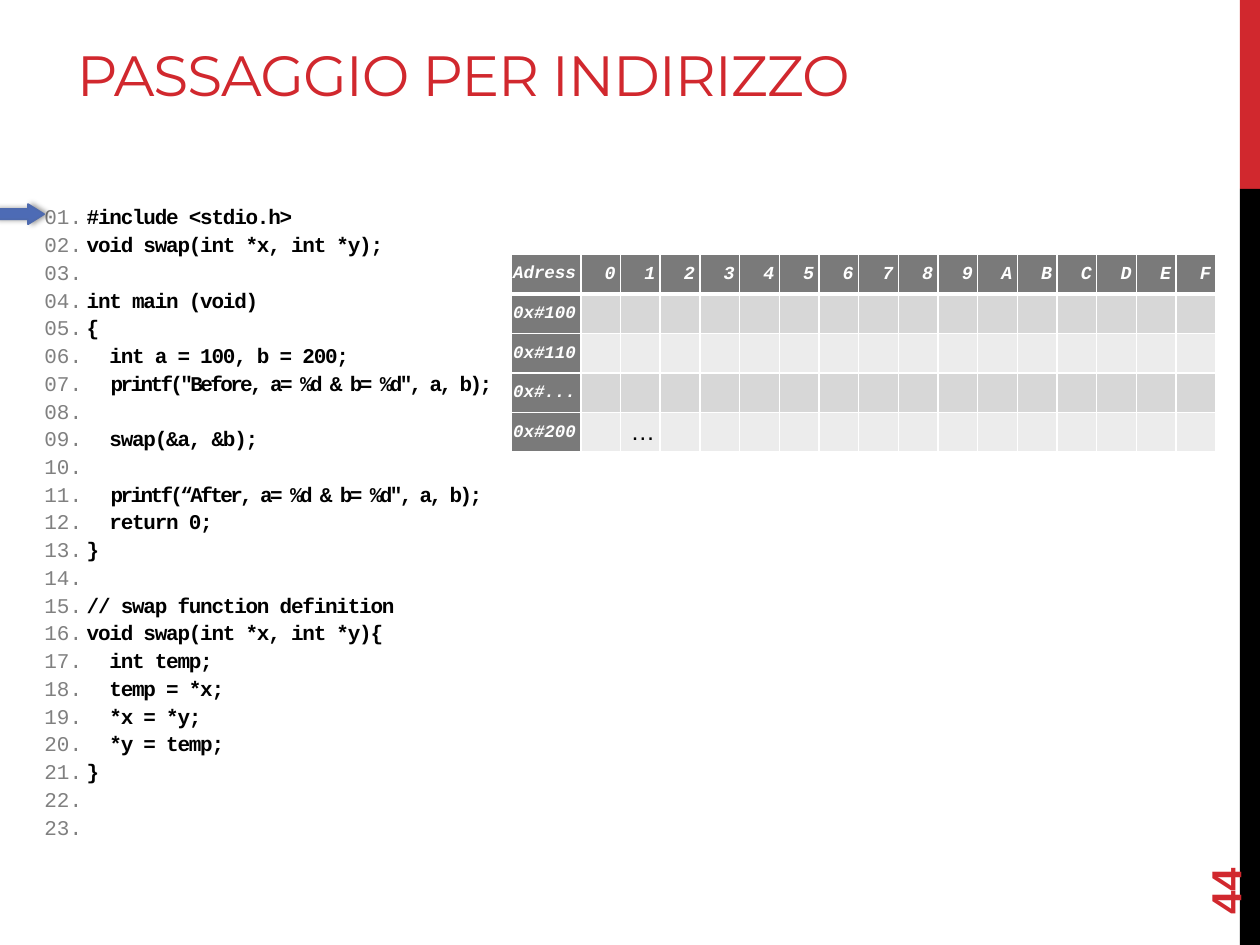
from dataclasses import dataclass

from lxml import etree
from pptx import Presentation
from pptx.dml.color import RGBColor as RGB
from pptx.enum.shapes import MSO_SHAPE as SHAPE
from pptx.enum.text import MSO_ANCHOR as ANCHOR, PP_ALIGN as ALIGN
from pptx.oxml import parse_xml
from pptx.oxml.ns import nsdecls, qn
from pptx.util import Inches, Pt


@dataclass(frozen=True)
class Theme:
    red: str = "D1282E"
    black: str = "000000"
    white: str = "FFFFFF"
    number: str = "808080"
    header: str = "7A7A7A"
    bands: tuple = ("D7D7D7", "ECECEC")
    arrow: str = "4D6BB5"
    arrow_line: str = "4E6AAE"
    mono: str = "Courier New"
    sans: str = "Arial"
    heading: str = "Montserrat"
    title_size: float = 32.4
    code_size: float = 12
    code_pitch: float = 15.85
    address_size: float = 10
    digit_size: float = 10.5
    ellipsis_size: float = 14
    page_size: float = 24


T = Theme()


def style(r, font, size, color, bold=False, italic=False, spacing=0):
    """Format a run; spacing is the letter spacing in points."""
    r.font.name, r.font.size = font, Pt(size)
    r.font.bold, r.font.italic = bold, italic
    r.font.color.rgb = RGB.from_string(color)
    if spacing:
        r.font._element.set("spc", str(round(spacing * 100)))


def add_border(cell, side, width):
    ln = etree.SubElement(cell._tc.get_or_add_tcPr(), qn(f"a:ln{side}"), w=str(Pt(width)))
    fill = etree.SubElement(ln, qn("a:solidFill"))
    etree.SubElement(fill, qn("a:srgbClr"), val=T.white)


prs = Presentation()
prs.slide_width, prs.slide_height = Inches(10), Inches(7.5)
s = prs.slides.add_slide(prs.slide_layouts[5])

# Side bars
for top, height, color in ((0, 1.5, T.red), (1.5, 6, T.black)):
    sp = s.shapes.add_shape(SHAPE.RECTANGLE, Inches(9.84), Inches(top), Inches(0.16), Inches(height))
    sp.shadow.inherit = False
    sp.fill.solid()
    sp.fill.fore_color.rgb = RGB.from_string(color)
    sp.line.fill.background()

# Title
title = s.shapes.title
title.left, title.top, title.width, title.height = Inches(0.51), Inches(0.3), Inches(9), Inches(0.61)
tf = title.text_frame
tf.text = "PASSAGGIO PER INDIRIZZO"
tf.vertical_anchor = ANCHOR.BOTTOM
p = tf.paragraphs[0]
p.alignment = ALIGN.LEFT
style(p.runs[0], T.heading, T.title_size, T.red, spacing=-0.6)

# Line numbers and code
code = """#include <stdio.h>
void swap(int *x, int *y);

int main (void)
{
  int a = 100, b = 200;
  printf("Before, a= %d & b= %d", a, b);

  swap(&a, &b);

  printf(“After, a= %d & b= %d", a, b);
  return 0;
}

// swap function definition
void swap(int *x, int *y){
  int temp;
  temp = *x;
  *x = *y;
  *y = temp;
}"""
numbers = "\n".join(f"{n:02}." for n in range(1, 24))
listings = (
    (numbers, 0.2, 0.55, ALIGN.RIGHT, T.number, False, 0),
    (code, 0.59, 3.46, ALIGN.LEFT, T.black, True, -0.7),
)
for text, left, width, align, color, bold, spacing in listings:
    tf = s.shapes.add_textbox(Inches(left), Inches(1.55), Inches(width), Inches(5.2)).text_frame
    tf.word_wrap = True
    tf.text = text
    for p in tf.paragraphs:
        p.alignment = align
        p.line_spacing = Pt(T.code_pitch)
        p.font.size = Pt(T.code_size)
        line = p.text
        if "printf" in line:
            p.runs[0].text = "  "
            r = p.add_run()
            r.text = line.strip()
        for r in p.runs:
            tight = r.text.startswith("printf")
            style(r, T.mono, T.code_size, color, bold, spacing=-1.5 if tight else spacing)

# Memory table
header = ["Adress", *"0123456789ABCDEF"]
addresses = ["0x#100", "0x#110", "0x#...", "0x#200"]
rows = [header] + [[address] + [""] * 16 for address in addresses]
rows[4][2] = "…"
width, height, address_width = 5.59, 1.57, 0.55
frame = s.shapes.add_table(len(rows), len(header), Inches(4.06), Inches(2.02), Inches(width), Inches(height))
table = frame.table
for j, column in enumerate(table.columns):
    column.width = Inches((width - address_width) / 16 if j else address_width)
for i, values in enumerate(rows):
    table.rows[i].height = Inches(height / len(rows))
    for j, value in enumerate(values):
        cell = table.cell(i, j)
        is_header = i == 0 or j == 0
        cell.margin_left = cell.margin_top = cell.margin_bottom = 0
        cell.margin_right = Inches(0.04)
        cell.vertical_anchor = ANCHOR.MIDDLE
        for side in "LRTB":
            under_header = (i, side) in ((0, "B"), (1, "T"))
            add_border(cell, side, 3 if under_header else 1)
        cell.fill.solid()
        cell.fill.fore_color.rgb = RGB.from_string(T.header if is_header else T.bands[(i - 1) % 2])
        if value:
            cell.text = value
            p = cell.text_frame.paragraphs[0]
            p.alignment = ALIGN.RIGHT
            if is_header:
                size = T.digit_size if j else T.address_size
                style(p.runs[0], T.mono, size, T.white, bold=True, italic=True)
            else:
                style(p.runs[0], T.sans, T.ellipsis_size, T.black)

# Current line arrow
arrow = s.shapes.add_shape(SHAPE.RIGHT_ARROW, Inches(-0.04), Inches(1.62), Inches(0.39), Inches(0.16))
arrow.adjustments[0], arrow.adjustments[1] = 0.5, 0.8
arrow.fill.solid()
arrow.fill.fore_color.rgb = RGB.from_string(T.arrow)
arrow.line.color.rgb = RGB.from_string(T.arrow_line)
arrow.line.width = Pt(1)
arrow._element.spPr.append(parse_xml(
    f'<a:effectLst {nsdecls("a")}><a:outerShdw blurRad="{Pt(3.1)}" dist="{Pt(1.8)}" dir="0">'
    f'<a:srgbClr val="{T.black}"><a:alpha val="40000"/></a:srgbClr></a:outerShdw></a:effectLst>'))

# Page number
page = s.shapes.add_textbox(Inches(9), Inches(6.44), Inches(1.44), Inches(0.4))
page.rotation = 270
tf = page.text_frame
tf.word_wrap = True
tf.vertical_anchor = ANCHOR.MIDDLE
tf.text = "44"
style(tf.paragraphs[0].runs[0], T.sans, T.page_size, T.red, bold=True)

prs.save("out.pptx")
